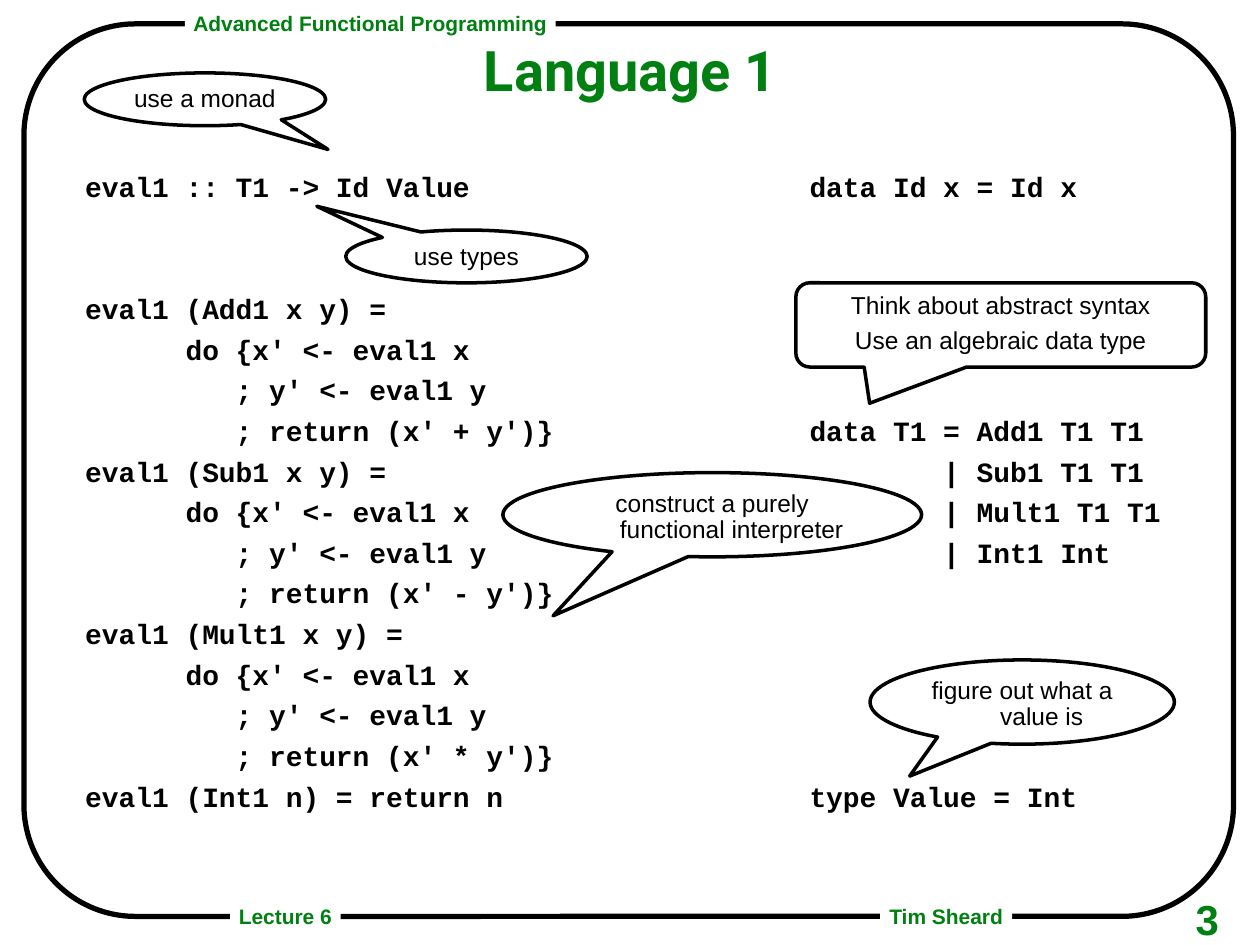
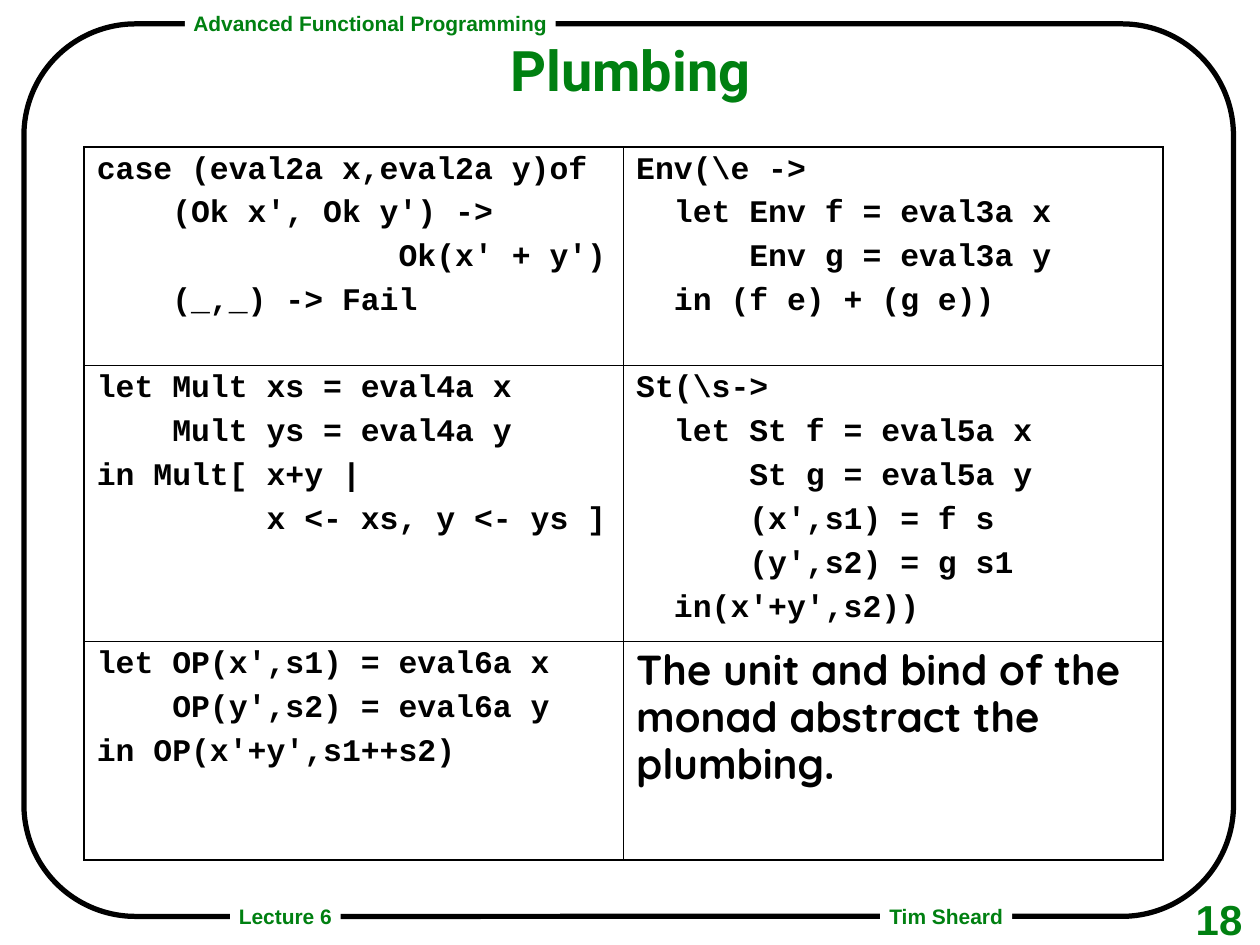
from lxml import etree
from pptx import Presentation
from pptx.dml.color import RGBColor
from pptx.enum.shapes import MSO_SHAPE
from pptx.enum.text import MSO_ANCHOR, PP_ALIGN
from pptx.oxml.ns import qn
from pptx.util import Inches, Pt

CENTER, LEFT = PP_ALIGN.CENTER, PP_ALIGN.LEFT
TOP, MIDDLE = MSO_ANCHOR.TOP, MSO_ANCHOR.MIDDLE
RECTANGLE, ROUNDED = MSO_SHAPE.RECTANGLE, MSO_SHAPE.ROUNDED_RECTANGLE
OVAL_CALLOUT = MSO_SHAPE.OVAL_CALLOUT
ROUNDED_CALLOUT = MSO_SHAPE.ROUNDED_RECTANGULAR_CALLOUT

COLORS = {"ink": "000000", "accent": "008011", "paper": "FFFFFF"}
SANS, CODE, HEADING, ROUND = "Arial", "Courier New", "Roboto", "Quicksand"


def write(text_frame, text, font, size, color="ink", bold=True, align=LEFT,
          spacing=0.9, before=0, pitch=0, hanging=0):
    """Fill a frame; an empty line in the text widens the next gap by one pitch."""
    lines = text.split("\n")
    text_frame.text = "\n".join(line for line in lines if line)
    gaps, gap = [], 0
    for line in lines:
        if line:
            gaps.append(gap)
            gap = before
        else:
            gap += pitch
    for paragraph, gap in zip(text_frame.paragraphs, gaps):
        paragraph.alignment = align
        paragraph.line_spacing = spacing
        paragraph.space_before = Pt(gap)
        if hanging:
            properties = paragraph._p.get_or_add_pPr()
            properties.set("marL", str(Inches(hanging)))
            properties.set("indent", str(-Inches(hanging)))
        for run in paragraph.runs:
            run.font.name = font
            run.font.size = Pt(size)
            run.font.bold = bold
            run.font.color.rgb = RGBColor.from_string(COLORS[color])


def add_box(slide, box, preset=None, line=0, fill=None, margins=(0.1, 0.05), anchor=TOP):
    """Add a text box, or a preset shape with the given line and fill."""
    place = [Inches(value) for value in box]
    if preset is None:
        shape = slide.shapes.add_textbox(*place)
    else:
        shape = slide.shapes.add_shape(preset, *place)
        shape.shadow.inherit = False
        if fill:
            shape.fill.solid()
            shape.fill.fore_color.rgb = RGBColor.from_string(COLORS[fill])
        else:
            shape.fill.background()
        if line:
            shape.line.color.rgb = RGBColor.from_string(COLORS["ink"])
            shape.line.width = Pt(line)
        else:
            shape.line.fill.background()
    frame = shape.text_frame
    frame.word_wrap = True
    frame.vertical_anchor = anchor
    frame.margin_left = frame.margin_right = Inches(margins[0])
    frame.margin_top = frame.margin_bottom = Inches(margins[1])
    return shape


# The page measures a whole number of quarter points
presentation = Presentation()
presentation.slide_width, presentation.slide_height = Pt(721.5), Pt(541.25)

# Frame, labels, number and title shared by the slides
TIGHT = (0.07, 0.03)
LABELS = [
    ("Advanced Functional Programming", (1.47, 0.07, 2.95, 0.25)),
    ("Tim Sheard", (7, 7.17, 1.05, 0.25)),
    ("Lecture 6", (1.83, 7.17, 0.88, 0.25)),
]
slides = []
for title, number in [("Language 1", "3"), ("Plumbing", "18")]:
    slide = presentation.slides.add_slide(presentation.slide_layouts[6])
    slides.append(slide)
    border = add_box(slide, (0.19, 0.19, 9.62, 7.1), ROUNDED, line=3)
    border.adjustments[0] = 0.125
    for label, box in LABELS:
        shape = add_box(slide, box, RECTANGLE, fill="paper", margins=TIGHT, anchor=MIDDLE)
        shape.text_frame.word_wrap = False
        write(shape.text_frame, label, SANS, 12, "accent", align=CENTER, spacing=0.97)
    shape = add_box(slide, (9.44, 7.06, 0.74, 0.47), margins=TIGHT)
    write(shape.text_frame, number, SANS, 24, "accent", spacing=1.04)
    shape = add_box(slide, (3.65, 0.33, 2.73, 0.52), margins=TIGHT)
    write(shape.text_frame, title, HEADING, 32, "accent", align=CENTER, spacing=0.87)

language_slide, plumbing_slide = slides

# Language 1: two columns of code on the same line pitch
EVALUATOR = """eval1 :: T1 -> Id Value


eval1 (Add1 x y) =
      do {x' <- eval1 x
         ; y' <- eval1 y
         ; return (x' + y')}
eval1 (Sub1 x y) =
      do {x' <- eval1 x
         ; y' <- eval1 y
         ; return (x' - y')}
eval1 (Mult1 x y) =
      do {x' <- eval1 x
         ; y' <- eval1 y
         ; return (x' * y')}
eval1 (Int1 n) = return n"""
DATA_TYPES = """data Id x = Id x





data T1 = Add1 T1 T1
        | Sub1 T1 T1
        | Mult1 T1 T1
        | Int1 Int





type Value = Int"""
for code, left, width in [(EVALUATOR, 0.58, 4.67), (DATA_TYPES, 6.34, 3.08)]:
    shape = add_box(language_slide, (left, 1.33, width, 5.25))
    write(shape.text_frame, code, CODE, 16, before=6, pitch=23.3)

# Language 1: callouts, each with the position of its tip
CALLOUTS = [
    ("Think about abstract syntax\nUse an algebraic data type",
     ROUNDED_CALLOUT, (6.33, 2.25, 3.26, 0.67), (-0.32, 0.93)),
    ("use types", OVAL_CALLOUT, (2.75, 1.83, 1.92, 0.42), (-0.62, -0.95)),
    ("figure out what a value is", OVAL_CALLOUT, (6.92, 5.25, 2.42, 0.67), (-0.37, 0.88)),
    ("construct a purely functional interpreter",
     OVAL_CALLOUT, (4, 3.76, 3.33, 0.67), (-0.38, 1.2)),
    ("use a monad", OVAL_CALLOUT, (0.67, 0.58, 1.92, 0.42), (0.51, 0.95)),
]
for text, preset, box, tip in CALLOUTS:
    callout = add_box(language_slide, box, preset, line=2)
    callout.adjustments[0], callout.adjustments[1] = tip
    write(callout.text_frame, text, SANS, 14, bold=False, align=CENTER,
          before=5.2, hanging=0.31)

# Plumbing: table of code
CELLS = [
    [r"""case (eval2a x,eval2a y)of
    (Ok x', Ok y') ->
                Ok(x' + y')
    (_,_) -> Fail""",
     r"""Env(\e ->
  let Env f = eval3a x
      Env g = eval3a y
  in (f e) + (g e))"""],
    [r"""let Mult xs = eval4a x
    Mult ys = eval4a y
in Mult[ x+y |
         x <- xs, y <- ys ]""",
     r"""St(\s->
  let St f = eval5a x
      St g = eval5a y
      (x',s1) = f s
      (y',s2) = g s1
  in(x'+y',s2))"""],
    [r"""let OP(x',s1) = eval6a x
    OP(y',s2) = eval6a y
in OP(x'+y',s1++s2)""",
     "The unit and bind of the monad abstract the plumbing."],
]
ROW_HEIGHTS = [1.74, 2.19, 1.74]
OUTER, INNER = 1.08, 0.45
table = plumbing_slide.shapes.add_table(
    3, 2, Inches(0.67), Inches(1.17), Inches(8.58), Inches(sum(ROW_HEIGHTS))).table
table.first_row = table.horz_banding = False
for column in table.columns:
    column.width = Inches(4.29)
for row_index, row_height in enumerate(ROW_HEIGHTS):
    table.rows[row_index].height = Inches(row_height)
    for column_index, text in enumerate(CELLS[row_index]):
        cell = table.cell(row_index, column_index)
        if (row_index, column_index) == (2, 1):
            write(cell.text_frame, text, ROUND, 24)
        else:
            write(cell.text_frame, text, CODE, 18, before=6.8)
        # Thicker borders on the outside edges
        edges = {"a:lnL": column_index == 0, "a:lnR": column_index == 1,
                 "a:lnT": row_index == 0, "a:lnB": row_index == 2}
        properties = cell._tc.get_or_add_tcPr()
        for tag, outside in edges.items():
            border = etree.SubElement(properties, qn(tag),
                                      w=str(Pt(OUTER if outside else INNER)))
            fill = etree.SubElement(border, qn("a:solidFill"))
            etree.SubElement(fill, qn("a:srgbClr"), val=COLORS["ink"])
        cell.fill.background()

presentation.save("out.pptx")
